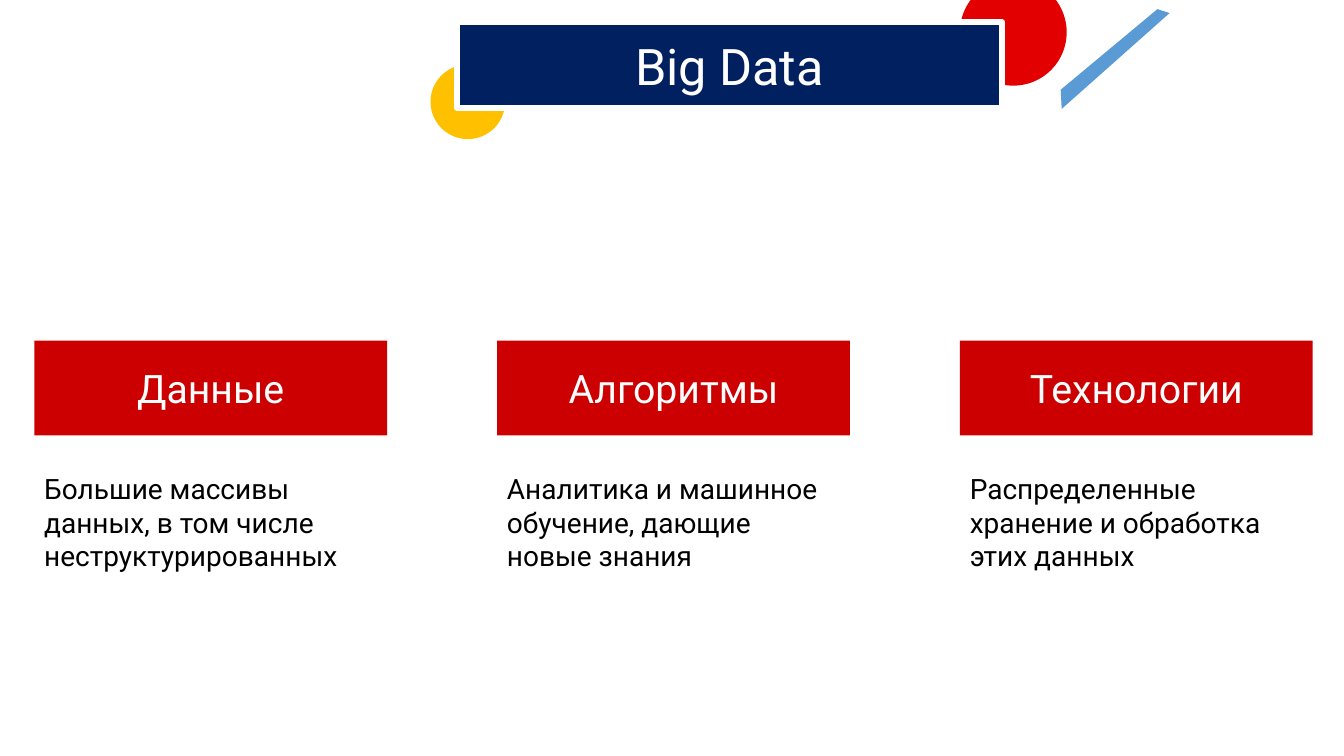
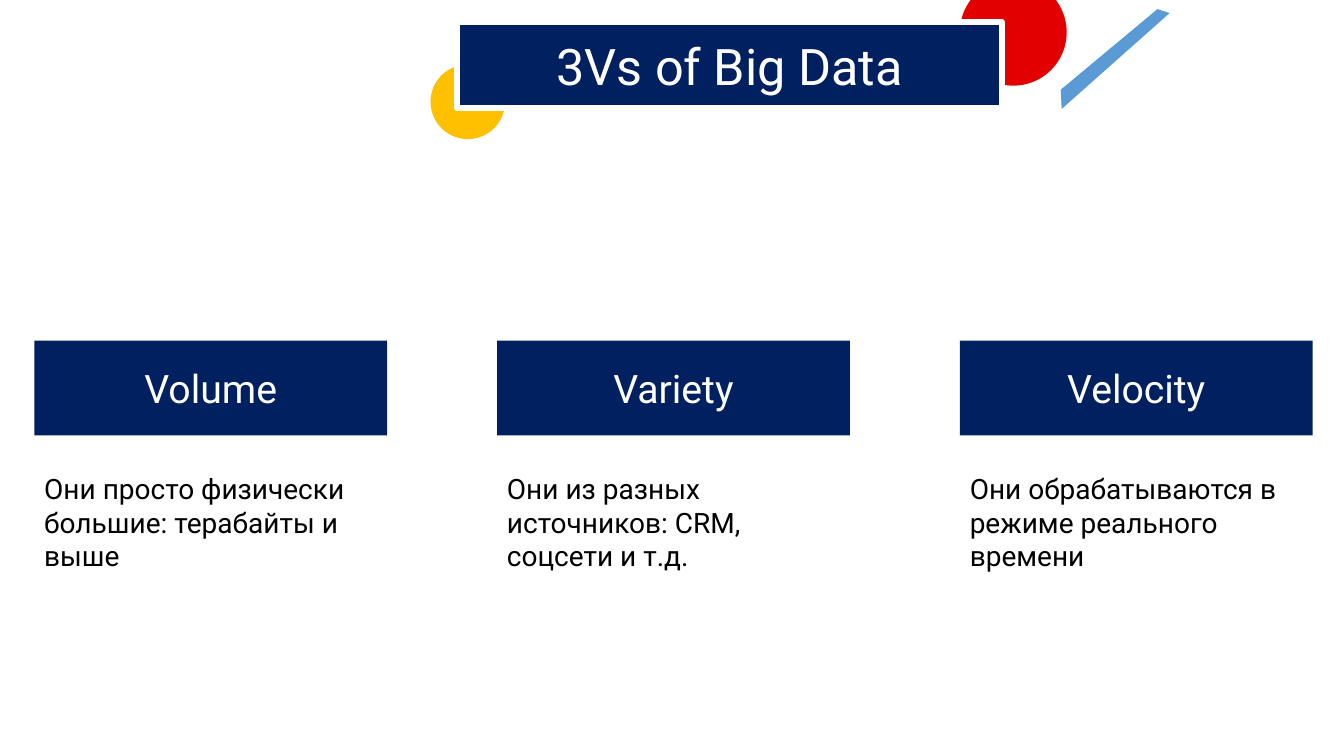
import pptx
import pptx.dml.color
import pptx.enum.shapes
import pptx.enum.text
import pptx.util

Inches = pptx.util.Inches
SHAPES = pptx.enum.shapes.MSO_SHAPE
FONT = "Roboto"
COLORS = {
    "navy": "002060",
    "crimson": "CC0000",
    "red": "E20000",
    "amber": "FFC000",
    "sky": "5B9BD5",
    "white": "FFFFFF",
    "black": "000000",
}

# Boxes are left, top, width, height in inches
TITLE_BOX = (4.53, 0.22, 5.41, 0.85)
COLUMNS_BOX = (0.34, 3.38, 12.68, 2.36)
COLUMN_WIDTH = 3.5
HEADING_HEIGHT = 0.94
TEXT_OFFSET = 1.25

SLIDES = [
    ("Big Data", "crimson", [
        ("Данные", "Большие массивы данных, в том числе неструктурированных"),
        ("Алгоритмы", "Аналитика и машинное обучение, дающие новые знания"),
        ("Технологии", "Распределенные хранение и обработка этих данных"),
    ]),
    ("3Vs of Big Data", "navy", [
        ("Volume", "Они просто физически большие: терабайты и выше"),
        ("Variety", "Они из разных источников: CRM, соцсети и т.д."),
        ("Velocity", "Они обрабатываются в режиме реального времени"),
    ]),
]


def rgb(color):
    return pptx.dml.color.RGBColor.from_string(COLORS[color])


def paint(shape, color):
    shape.shadow.inherit = False
    shape.fill.solid()
    shape.fill.fore_color.rgb = rgb(color)
    shape.line.fill.background()


def add_filled(slide, kind, box, color):
    shape = slide.shapes.add_shape(kind, *map(Inches, box))
    paint(shape, color)
    return shape


def write(shape, text, size, color, align):
    frame = shape.text_frame
    frame.word_wrap = True
    paragraph = frame.paragraphs[0]
    paragraph.text = text
    paragraph.alignment = align
    paragraph.font.name = FONT
    paragraph.font.size = pptx.util.Pt(size)
    paragraph.font.color.rgb = rgb(color)


def add_label(slide, box, text, size, color):
    label = add_filled(slide, SHAPES.RECTANGLE, box, color)
    label.text_frame.vertical_anchor = pptx.enum.text.MSO_ANCHOR.MIDDLE
    write(label, text, size, "white", pptx.enum.text.PP_ALIGN.CENTER)
    return label


def add_title(slide, box, text):
    left, top, width, height = box
    right = left + width

    # Slanted stroke to the right of the banner
    stroke = [(Inches(right + x), Inches(top + y)) for x, y in
              [(1.54, -0.13), (1.66, -0.09), (0.59, 0.86), (0.58, 0.67)]]
    builder = slide.shapes.build_freeform(*stroke[0])
    builder.add_line_segments(stroke[1:], close=True)
    paint(builder.convert_to_shape(), "sky")

    # Circles behind two corners
    add_filled(slide, SHAPES.OVAL, (left - 0.26, top + 0.42, 0.74, 0.74), "amber")
    add_filled(slide, SHAPES.OVAL, (right - 0.42, top - 0.43, 1.06, 1.06), "red")

    # Banner
    banner = add_label(slide, box, text, 36, "navy")
    banner.line.color.rgb = rgb("white")
    banner.line.width = pptx.util.Pt(4)


def add_column(slide, box, heading, text, color):
    left, top, width, height = box
    add_label(slide, (left, top, width, HEADING_HEIGHT), heading, 28, color)
    description = slide.shapes.add_textbox(
        *map(Inches, (left, top + TEXT_OFFSET, width, height - TEXT_OFFSET)))
    write(description, text, 20, "black", pptx.enum.text.PP_ALIGN.LEFT)
    description.text_frame.auto_size = pptx.enum.text.MSO_AUTO_SIZE.SHAPE_TO_FIT_TEXT


def add_columns(slide, box, columns, color):
    left, top, width, height = box
    step = (width - COLUMN_WIDTH) / (len(columns) - 1)
    for index, (heading, text) in enumerate(columns):
        column_box = (left + index * step, top, COLUMN_WIDTH, height)
        add_column(slide, column_box, heading, text, color)


def main():
    deck = pptx.Presentation()
    deck.slide_width = Inches(13.33)
    deck.slide_height = Inches(7.5)
    for title, color, columns in SLIDES:
        slide = deck.slides.add_slide(deck.slide_layouts[6])
        add_title(slide, TITLE_BOX, title)
        add_columns(slide, COLUMNS_BOX, columns, color)
    deck.save("out.pptx")


if __name__ == "__main__":
    main()
